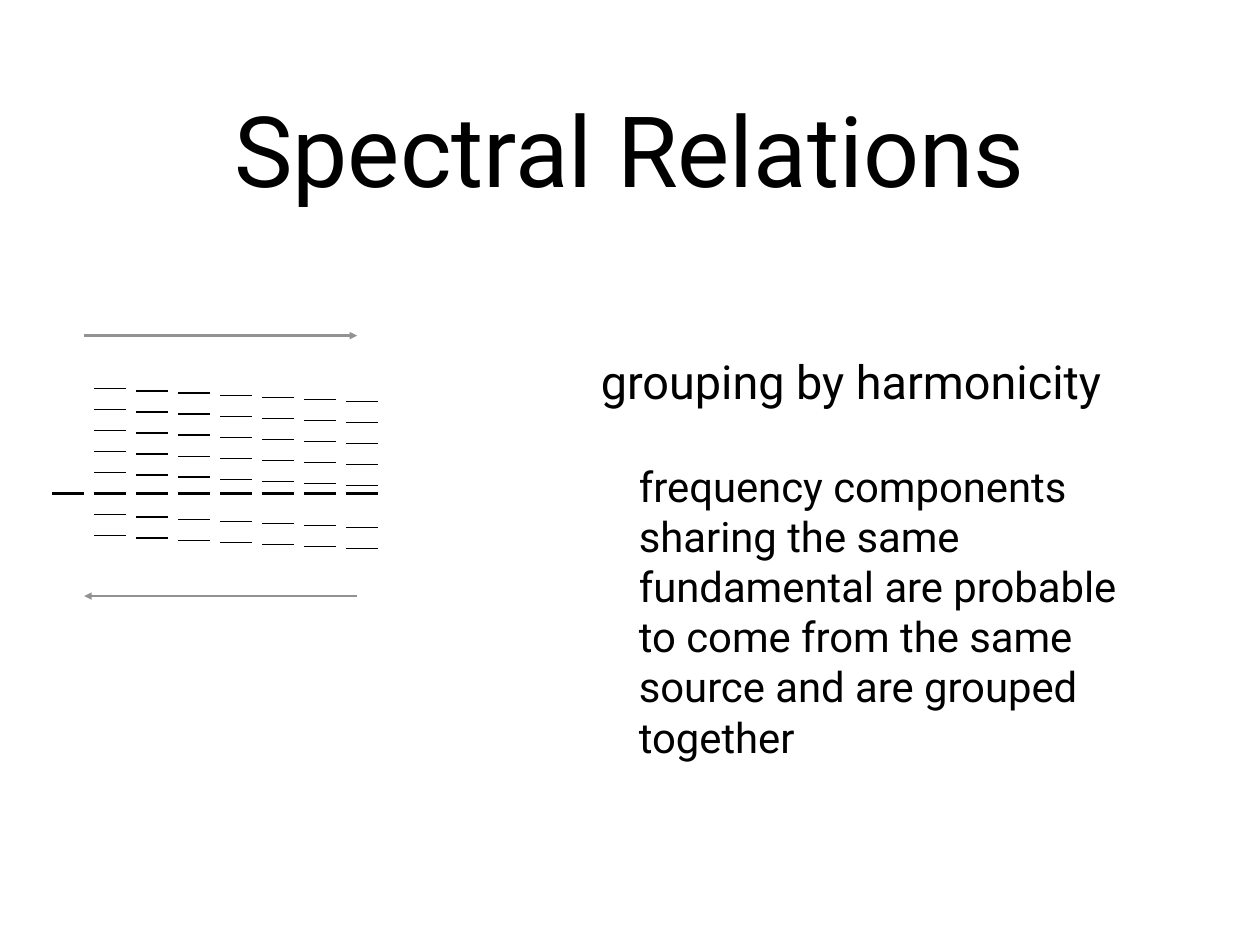
"""Build the Spectral Relations slide with its harmonic grid."""
import pptx
import pptx.dml.color
import pptx.enum.shapes
import pptx.enum.text
import pptx.oxml.ns
import pptx.util
from lxml import etree

Inches = pptx.util.Inches
Pt = pptx.util.Pt
RGBColor = pptx.dml.color.RGBColor
qn = pptx.oxml.ns.qn

BLACK = RGBColor(0x00, 0x00, 0x00)
GRAY = RGBColor(0x92, 0x92, 0x92)
WHITE = RGBColor(0xFF, 0xFF, 0xFF)


class Deck:
    """Hold the style and the current slide."""

    font = "Roboto"

    def __init__(self, width, height):
        self.prs = pptx.Presentation()
        self.prs.slide_width = Inches(width)
        self.prs.slide_height = Inches(height)
        self.slide = self.prs.slides.add_slide(self.prs.slide_layouts[1])
        fill = self.slide.background.fill
        fill.solid()
        fill.fore_color.rgb = WHITE

    def place(self, sp, box):
        sp.left, sp.top, sp.width, sp.height = [Inches(v) for v in box]
        tf = sp.text_frame
        tf.word_wrap = True
        tf.auto_size = pptx.enum.text.MSO_AUTO_SIZE.NONE
        tf.vertical_anchor = pptx.enum.text.MSO_ANCHOR.MIDDLE
        return tf

    def format_runs(self, p, size):
        for r in p.runs:
            r.font.name = self.font
            r.font.size = Pt(size)
            r.font.color.rgb = BLACK

    def title(self, text, box, size):
        tf = self.place(self.slide.shapes.title, box)
        tf.text = text
        p = tf.paragraphs[0]
        p.alignment = pptx.enum.text.PP_ALIGN.CENTER
        self.format_runs(p, size)

    def body(self, items, box, gap):
        tf = self.place(self.slide.placeholders[1], box)
        for i, (text, size, indent) in enumerate(items):
            p = tf.add_paragraph() if i else tf.paragraphs[0]
            p.text = text
            p.level = i
            p.space_before = Pt(gap if i else 0)
            pPr = p._p.get_or_add_pPr()
            pPr.set("marL", str(Inches(indent)))
            pPr.set("indent", "0")
            etree.SubElement(pPr, qn("a:buNone"))
            self.format_runs(p, size)

    def line(self, x1, y1, x2, y2, width, color=BLACK, arrow=False):
        sp = self.slide.shapes.add_connector(
            pptx.enum.shapes.MSO_CONNECTOR.STRAIGHT,
            Inches(x1), Inches(y1), Inches(x2), Inches(y2))
        sp.line.color.rgb = color
        sp.line.width = Pt(width)
        if arrow:
            ln = sp.line._get_or_add_ln()
            etree.SubElement(ln, qn("a:tailEnd"), type="triangle")
        etree.SubElement(sp._element.spPr, qn("a:effectLst"))

    def harmonics(self, left, top, fundamental_y):
        dash, columns, rows, fundamental_row = 0.36, 7, 8, 5
        x_step = 3.32 / columns
        y_step = 1.66 / (rows - 1)
        drift = 0.17 / columns
        for column in range(columns + 1):
            x = left + column * x_step
            self.line(x, fundamental_y, x + dash, fundamental_y, 2)
            if column == 0:
                continue
            for row in range(rows):
                if row != fundamental_row:
                    y = top + row * y_step + (column - 1) * drift
                    self.line(x, y, x + dash, y, 1)

    def save(self):
        self.prs.save("out.pptx")


def main():
    deck = Deck(14.22, 10.67)
    deck.title("Spectral Relations", (1.04, 0.49, 12.14, 2.36), 80)
    deck.body([
        ("grouping by harmonicity", 38, 0.54),
        ("frequency components sharing the same fundamental are probable "
         "to come from the same source and are grouped together", 34, 0.97),
    ], (6.14, 2.85, 6.57, 6.88), 42)
    deck.harmonics(0.59, 4.39, 5.57)
    deck.line(0.95, 3.79, 4.03, 3.79, 2, GRAY, arrow=True)
    deck.line(4.03, 6.73, 0.95, 6.73, 2, GRAY, arrow=True)
    deck.save()


if __name__ == "__main__":
    main()
